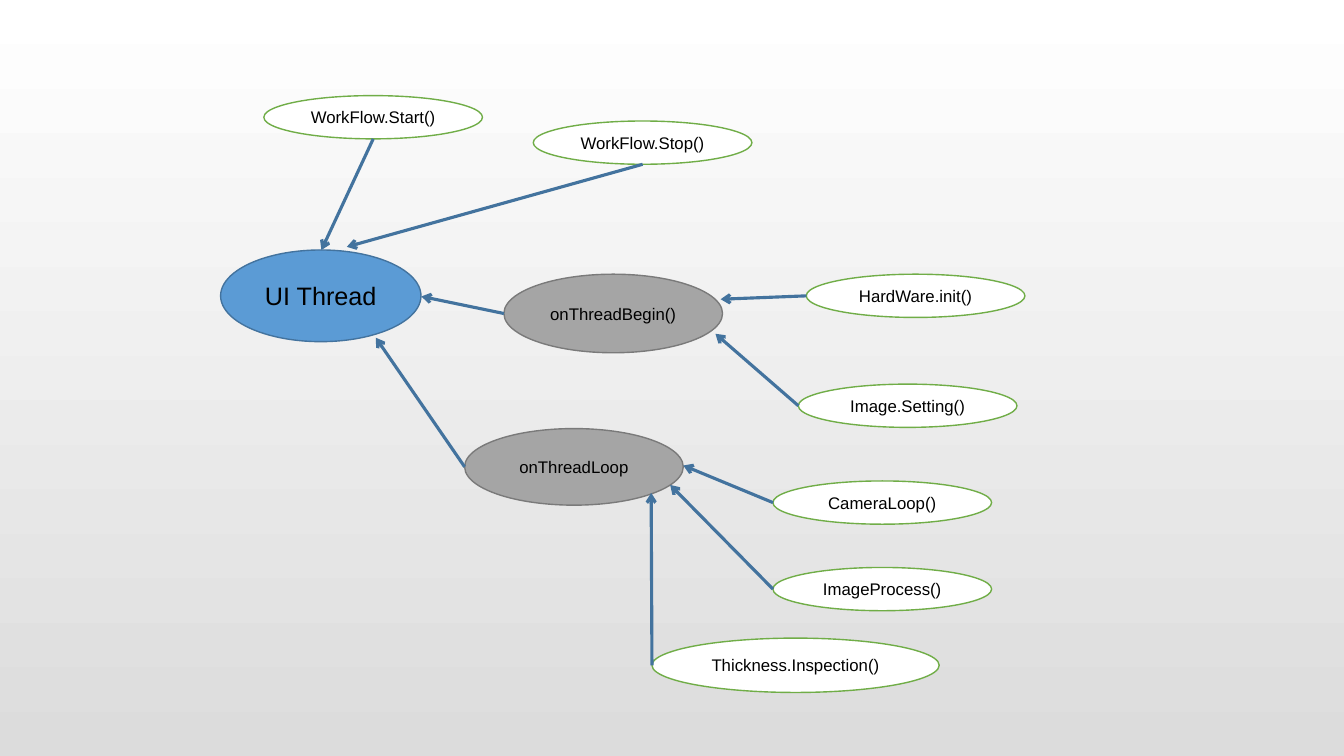
"""Build a slide showing which calls run on the UI thread."""
from dataclasses import dataclass

import lxml.etree
import pptx
import pptx.dml.color
import pptx.enum.shapes
import pptx.enum.text
import pptx.oxml.ns
import pptx.slide
import pptx.util

Cm = pptx.util.Cm
Pt = pptx.util.Pt

COLORS = {
    "top": "FFFFFF",
    "bottom": "DCDCDC",
    "text": "000000",
    "arrow": "43739E",
}


@dataclass(frozen=True)
class Style:
    fill: str
    line: str
    size: int = 12


THREAD = Style("5B9BD5", "43739E", 18)
HANDLER = Style("A5A5A5", "7A7A7A")
CALL = Style("FFFFFF", "70AD47")


@dataclass(frozen=True)
class Node:
    text: str
    style: Style
    left: float
    top: float
    width: float = 5.51
    height: float = 1.09

    def left_middle(self) -> tuple[float, float]:
        return self.left, self.top + self.height / 2

    def bottom_center(self) -> tuple[float, float]:
        return self.left + self.width / 2, self.top + self.height


@dataclass(frozen=True)
class Arrow:
    start: tuple[float, float]
    end: tuple[float, float]


UI_THREAD = Node("UI Thread", THREAD, 5.56, 6.3, 5.05, 2.31)
START = Node("WorkFlow.Start()", CALL, 6.65, 2.41)
STOP = Node("WorkFlow.Stop()", CALL, 13.44, 3.05)
BEGIN = Node("onThreadBegin()", HANDLER, 12.7, 6.91, height=1.98)
LOOP = Node("onThreadLoop", HANDLER, 11.71, 10.8, height=1.93)
HARDWARE = Node("HardWare.init()", CALL, 20.32, 6.91)
SETTING = Node("Image.Setting()", CALL, 20.12, 9.68)
INSPECTION = Node("Thickness.Inspection()", CALL, 16.43, 16.08, 7.24, 1.37)
CAMERA = Node("CameraLoop()", CALL, 19.48, 12.12)
PROCESS = Node("ImageProcess()", CALL, 19.48, 14.3)

NODES = [UI_THREAD, START, STOP, BEGIN, LOOP,
         HARDWARE, SETTING, INSPECTION, CAMERA, PROCESS]

ARROWS = [
    Arrow(START.bottom_center(), (8.1, 6.3)),
    Arrow(STOP.bottom_center(), (8.74, 6.22)),
    Arrow(BEGIN.left_middle(), (10.62, 7.47)),
    Arrow(LOOP.left_middle(), (9.47, 8.51)),
    Arrow(HARDWARE.left_middle(), (18.16, 7.54)),
    Arrow(SETTING.left_middle(), (18.03, 8.41)),
    Arrow(CAMERA.left_middle(), (17.22, 11.73)),
    Arrow(PROCESS.left_middle(), (16.89, 12.22)),
    Arrow(INSPECTION.left_middle(), (16.41, 12.42)),
]


def rgb(value: str) -> pptx.dml.color.RGBColor:
    return pptx.dml.color.RGBColor.from_string(value)


def paint_background(page: pptx.slide.Slide) -> None:
    fill = page.background.fill
    fill.gradient()
    fill.gradient_angle = 270
    for stop, name, position in zip(fill.gradient_stops, ("top", "bottom"), (0, 1)):
        stop.color.rgb = rgb(COLORS[name])
        stop.position = position


def draw_node(page: pptx.slide.Slide, node: Node) -> None:
    oval = page.shapes.add_shape(
        pptx.enum.shapes.MSO_SHAPE.OVAL,
        Cm(node.left), Cm(node.top), Cm(node.width), Cm(node.height))
    oval.shadow.inherit = False
    oval.fill.solid()
    oval.fill.fore_color.rgb = rgb(node.style.fill)
    oval.line.color.rgb = rgb(node.style.line)
    oval.line.width = Pt(1)
    frame = oval.text_frame
    frame.word_wrap = True
    frame.vertical_anchor = pptx.enum.text.MSO_ANCHOR.MIDDLE
    para = frame.paragraphs[0]
    para.alignment = pptx.enum.text.PP_ALIGN.CENTER
    span = para.add_run()
    span.text = node.text
    span.font.name = "Arial"
    span.font.size = Pt(node.style.size)
    span.font.color.rgb = rgb(COLORS["text"])


def draw_arrow(page: pptx.slide.Slide, arrow: Arrow) -> None:
    connector = page.shapes.add_connector(
        pptx.enum.shapes.MSO_CONNECTOR.STRAIGHT,
        *(Cm(length) for length in arrow.start + arrow.end))
    connector.line.color.rgb = rgb(COLORS["arrow"])
    connector.line.width = Pt(2.25)
    properties = connector._element.spPr
    line = properties.find(pptx.oxml.ns.qn("a:ln"))
    lxml.etree.SubElement(line, pptx.oxml.ns.qn("a:tailEnd"), type="arrow")
    lxml.etree.SubElement(properties, pptx.oxml.ns.qn("a:effectLst"))


def main() -> None:
    deck = pptx.Presentation()
    deck.slide_width = Cm(33.87)
    deck.slide_height = Cm(19.05)
    page = deck.slides.add_slide(deck.slide_layouts[6])
    paint_background(page)
    for node in NODES:
        draw_node(page, node)
    for arrow in ARROWS:
        draw_arrow(page, arrow)
    deck.save("out.pptx")


if __name__ == "__main__":
    main()
